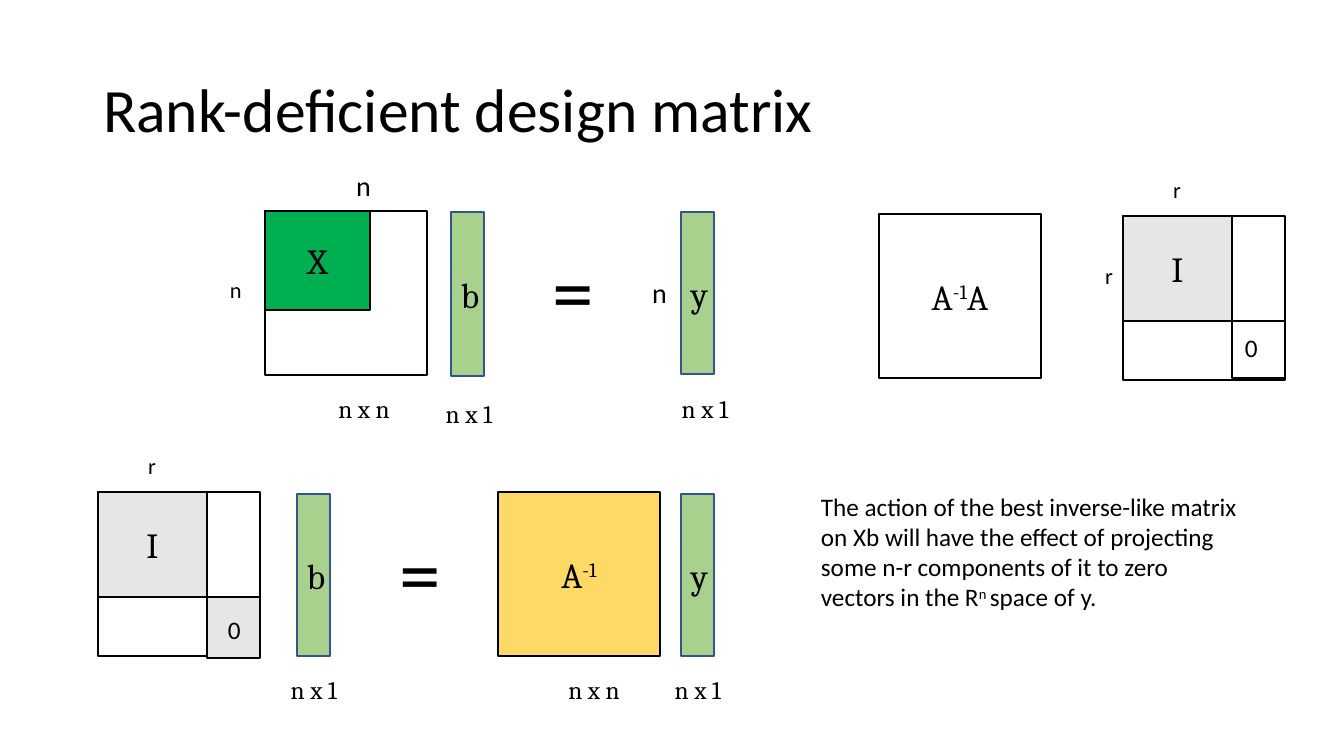
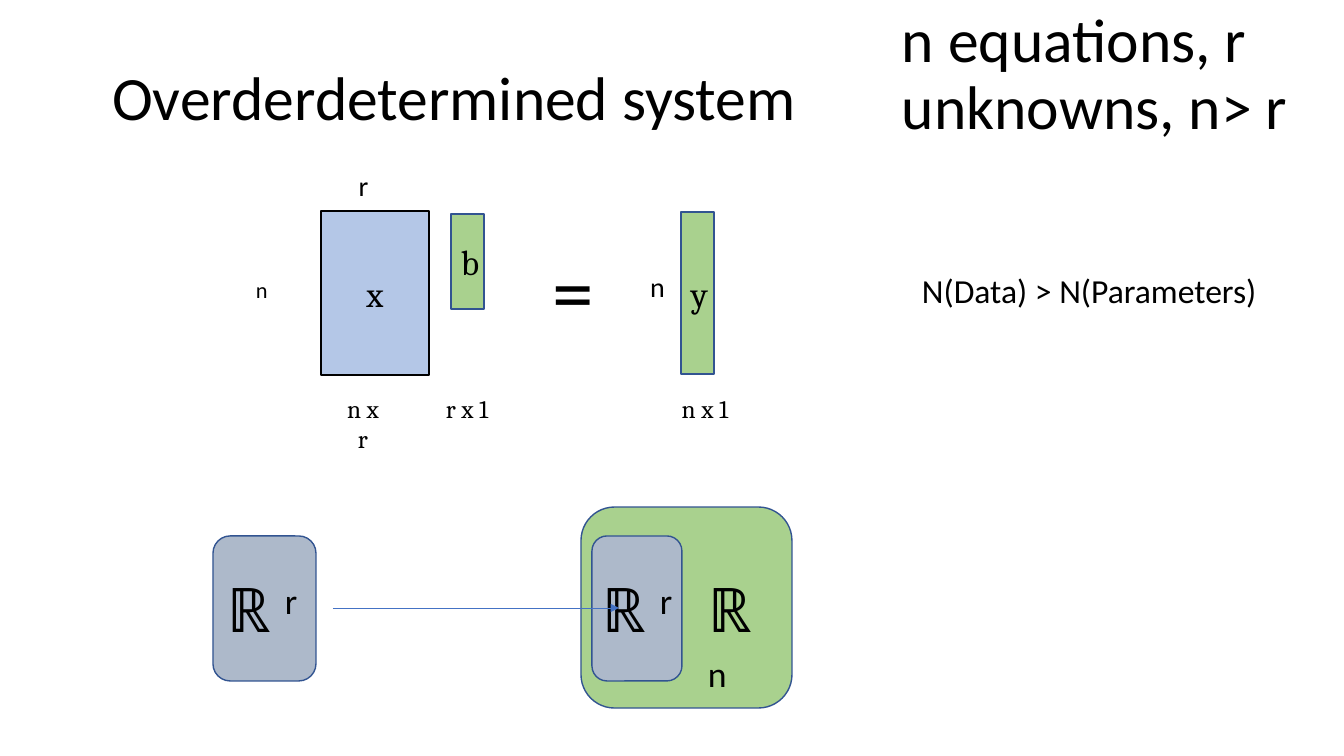
from lxml import etree
from pptx import Presentation
from pptx.dml.color import RGBColor
from pptx.enum.shapes import MSO_CONNECTOR, MSO_SHAPE
from pptx.enum.text import MSO_ANCHOR, MSO_AUTO_SIZE, PP_ALIGN
from pptx.oxml.ns import qn
from pptx.util import Pt

PX = 914400 / 100.8
SANS, SERIF = "Calibri", "Cambria"
BLACK = RGBColor(0x00, 0x00, 0x00)
WHITE = RGBColor(0xFF, 0xFF, 0xFF)
NAVY = RGBColor(0x32, 0x54, 0x91)
BLUE = RGBColor(0x44, 0x72, 0xC4)
PALE_BLUE = RGBColor(0xB4, 0xC7, 0xE7)
SLATE = RGBColor(0xAD, 0xB9, 0xCA)
GREEN = RGBColor(0x00, 0xB0, 0x50)
PALE_GREEN = RGBColor(0xA9, 0xD1, 0x8E)
GOLD = RGBColor(0xFF, 0xD9, 0x66)
GRAY = RGBColor(0xE7, 0xE6, 0xE6)
SIDE = 162


def px(*values):
    return [round(v * PX) for v in values]


def write(tf, parts, size, font, align=PP_ALIGN.LEFT):
    p = tf.paragraphs[0]
    p.alignment = align
    for i, part in enumerate(parts):
        r = p.add_run()
        r.text = part
        r.font.size = Pt(size)
        r.font.name = font
        r.font.color.rgb = BLACK
        if i % 2:
            r.font._element.set("baseline", "30000")
    return p


def add_heading(sp, text, box):
    sp.left, sp.top, sp.width, sp.height = px(*box)
    tf = sp.text_frame
    tf.word_wrap = True
    tf.auto_size = MSO_AUTO_SIZE.NONE
    tf.vertical_anchor = MSO_ANCHOR.MIDDLE
    write(tf, [text], 44, SANS).line_spacing = 0.9


def add_slide(prs, title, x, y):
    s = prs.slides.add_slide(prs.slide_layouts[5])
    add_heading(s.shapes.title, title, (x, y, 1159, 146))
    return s


def add_label(s, parts, x, y, w, h, size=18, font=SANS,
              align=PP_ALIGN.CENTER, wrap=False):
    tf = s.shapes.add_textbox(*px(x, y, w, h)).text_frame
    tf.word_wrap = wrap
    write(tf, parts, size, font, align)


def add_size(s, text, x, y, w=72, wrap=False):
    add_label(s, [text], x, y, w, 40, font=SERIF, wrap=wrap)


def add_side(s, text, x, y):
    add_label(s, [text], x, y, 30, 37, 16)


def add_dimension(s, text, x, y):
    add_label(s, [text], x, y, 61, 44, 20, wrap=True)


def add_equals(s, x, y):
    add_label(s, ["="], x, y, 62, 111, 59.4, align=PP_ALIGN.LEFT)


def add_block(s, x, y, w, h, fill=None, parts=(), line=BLACK,
              kind=MSO_SHAPE.RECTANGLE):
    sp = s.shapes.add_shape(kind, *px(x, y, w, h))
    sp.shadow.inherit = False
    if fill is None:
        sp.fill.background()
    else:
        sp.fill.solid()
        sp.fill.fore_color.rgb = fill
    sp.line.color.rgb = line
    sp.line.width = Pt(1)
    if parts:
        sp.text_frame.vertical_anchor = MSO_ANCHOR.MIDDLE
        write(sp.text_frame, parts, 25.2, SERIF, PP_ALIGN.CENTER)


def add_vector(s, name, x, y, h=SIDE):
    add_block(s, x, y, 33, h, PALE_GREEN, [name], NAVY)


def add_identity(s, x, y, corner_h, corner_fill, zero_x, zero_y):
    rank_w, rank_h = 109, 105
    add_block(s, x, y, SIDE, 164, WHITE)
    add_block(s, x, y, rank_w, rank_h, GRAY, ["I"])
    add_block(s, x + rank_w, y + rank_h, SIDE - rank_w, corner_h, corner_fill)
    add_label(s, ["0"], x + zero_x, y + zero_y, 33, 40, align=PP_ALIGN.LEFT)
    add_side(s, "r", x + 39, y - 45)


def add_space(s, box, fill):
    add_block(s, *box, fill, line=NAVY, kind=MSO_SHAPE.ROUNDED_RECTANGLE)


def add_real(s, power, x):
    add_label(s, ["\u211d ", power], x, 566, 96, 115, 44, align=PP_ALIGN.LEFT)


def add_arrow(s, x1, x2, y):
    c = s.shapes.add_connector(MSO_CONNECTOR.STRAIGHT, *px(x1, y, x2, y))
    c.line.color.rgb = BLUE
    c.line.width = Pt(0.5)
    etree.SubElement(c.line._get_or_add_ln(), qn("a:tailEnd"), type="triangle")
    etree.SubElement(c._element.spPr, qn("a:effectLst"))


def build_rank_deficient(prs):
    s = add_slide(prs, "Rank-deficient design matrix", 93, 40)

    add_block(s, 265, 211, SIDE, 164, WHITE)
    add_block(s, 265, 211, 105, 99, GREEN, ["X"])
    add_dimension(s, "n", 333, 164)
    add_side(s, "n", 220, 271)
    add_vector(s, "b", 451, 212, 164)
    add_equals(s, 543, 234)
    add_dimension(s, "n", 629, 271)
    add_vector(s, "y", 681, 212)
    for text, x, y in (("n x n", 328, 388), ("n x 1", 433, 393),
                       ("n x 1", 669, 388)):
        add_size(s, text, x, y)

    add_block(s, 879, 214, SIDE, 164, parts=["A", "-1", "A"])
    add_identity(s, 1123, 216, 57, None, 112, 111)
    add_side(s, "r", 1094, 257)

    add_identity(s, 98, 492, 61, GRAY, 120, 117)
    add_vector(s, "b", 297, 494)
    add_equals(s, 390, 516)
    add_block(s, 498, 492, SIDE, 164, GOLD, ["A", "-1"])
    add_vector(s, "y", 681, 494)
    for text, x in (("n x 1", 278), ("n x n", 558), ("n x 1", 662)):
        add_size(s, text, x, 669)

    add_label(s, ["The action of the best inverse-like matrix on Xb will have "
                  "the effect of projecting some n-r components of it to zero "
                  "vectors in the R", "n ", "space of y."],
              811, 486, 447, 163, align=PP_ALIGN.LEFT, wrap=True)


def build_overdetermined(prs):
    s = add_slide(prs, "Overderdetermined system", 102, 28)
    add_heading(s.shapes.add_textbox(0, 0, 0, 0),
                "n equations, r unknowns, n> r", (892, 0, 452, 152))

    add_block(s, 321, 211, 108, 164, PALE_BLUE, ["x"])
    add_dimension(s, "r", 333, 164)
    add_side(s, "n", 246, 271)
    add_vector(s, "b", 451, 214, 95)
    add_equals(s, 543, 234)
    add_dimension(s, "n", 627, 265)
    add_vector(s, "y", 681, 212)
    add_size(s, "n x r", 330, 388, 66, wrap=True)
    add_size(s, "r x 1", 434, 388, 66)
    add_size(s, "n x 1", 669, 388)
    add_label(s, ["N(Data) > N(Parameters)"], 912, 265, 358, 50, 24,
              align=PP_ALIGN.LEFT)

    add_space(s, (581, 507, 211, 201), PALE_GREEN)
    add_space(s, (213, 536, 103, 145), SLATE)
    add_space(s, (592, 536, 90, 145), SLATE)
    for power, x in (("r", 217), ("r", 592), ("n", 698)):
        add_real(s, power, x)
    add_arrow(s, 333, 619, 608)


def main():
    prs = Presentation()
    prs.slide_width, prs.slide_height = px(1344, 756)
    build_rank_deficient(prs)
    build_overdetermined(prs)
    prs.save("out.pptx")


main()
